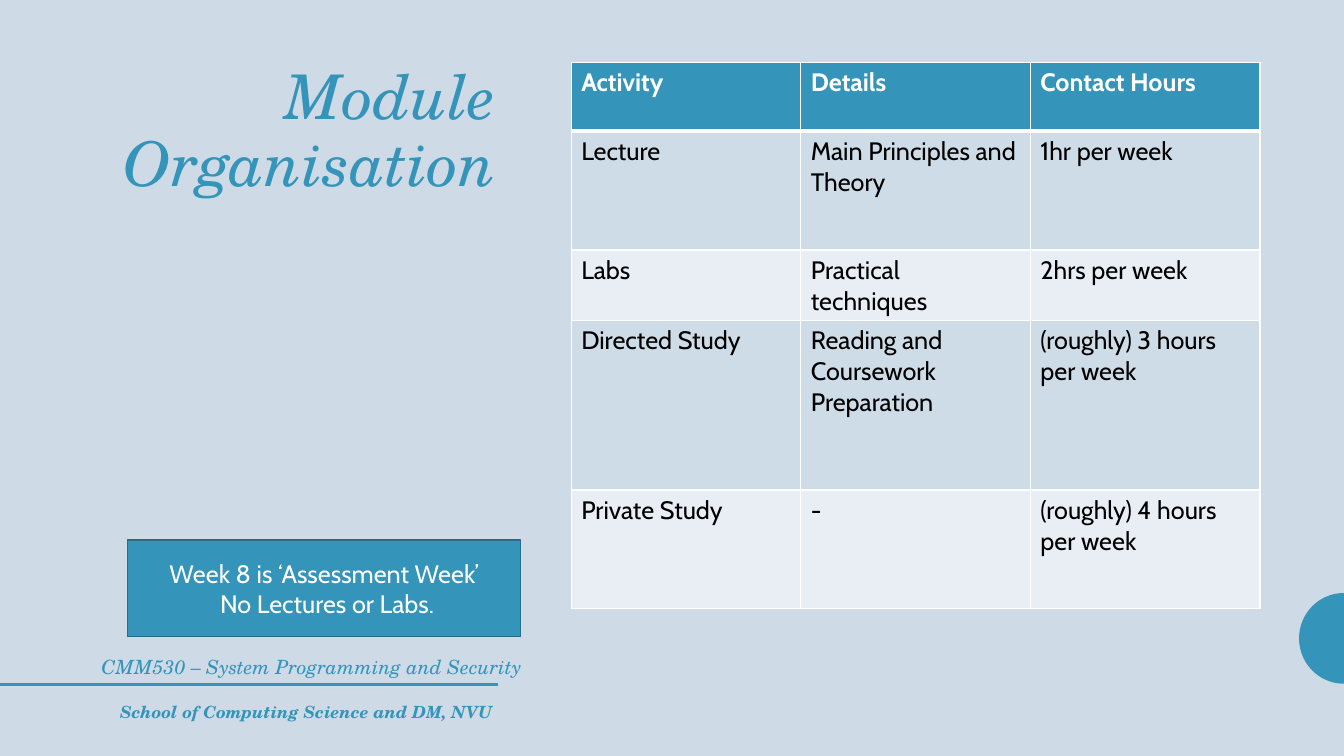
from math import cos, pi, sin

from lxml.etree import SubElement
from pptx import Presentation
from pptx.dml.color import RGBColor
from pptx.enum.shapes import MSO_CONNECTOR, MSO_SHAPE
from pptx.enum.text import MSO_ANCHOR, PP_ALIGN
from pptx.oxml.ns import qn
from pptx.util import Emu, Inches, Pt

BACKGROUND = RGBColor(0xCE, 0xDB, 0xE6)
ACCENT = RGBColor(0x34, 0x94, 0xBA)
ACCENT_DARK = RGBColor(0x26, 0x6D, 0x8A)
BAND_DARK = RGBColor(0xCE, 0xDC, 0xE7)
BAND_LIGHT = RGBColor(0xE8, 0xEE, 0xF3)
WHITE = RGBColor(0xFF, 0xFF, 0xFF)
BLACK = RGBColor(0, 0, 0)
SERIF = "TeX Gyre Schola"
SANS = "Cabin"

presentation = Presentation()
presentation.slide_width = Inches(13.3333)
presentation.slide_height = Inches(7.5)
COLUMN = presentation.slide_width / 80
ROW = presentation.slide_height / 45

ACTIVITIES = [
    ("Activity", "Details", "Contact Hours"),
    ("Lecture", "Main Principles and Theory", "1hr per week"),
    ("Labs", "Practical techniques", "2hrs per week"),
    ("Directed Study", "Reading and Coursework Preparation", "(roughly) 3 hours per week"),
    ("Private Study", "-", "(roughly) 4 hours per week"),
]
ACTIVITY_ROWS = [4.08, 7.08, 4.08, 10.08, 7.08]


def place(left, top, width, height):
    return Emu(int(left * COLUMN)), Emu(int(top * ROW)), Emu(int(width * COLUMN)), Emu(int(height * ROW))


def style(paragraph, name, size, color, bold=False, italic=False):
    font = paragraph.font
    font.name, font.size, font.bold, font.italic = name, Pt(size), bold, italic
    font.color.rgb = color


def add_serif_text(slide, box, text, size, bold=False, line_spacing=None):
    frame = slide.shapes.add_textbox(*place(*box)).text_frame
    frame.word_wrap = True
    paragraph = frame.paragraphs[0]
    paragraph.text = text
    paragraph.alignment = PP_ALIGN.RIGHT
    paragraph.line_spacing = line_spacing
    style(paragraph, SERIF, size, ACCENT, bold, True)


def add_half_disc(slide, box):
    left, top, width, height = place(*box)
    angles = [pi / 2 + pi * step / 48 for step in range(49)]
    points = [(left + width * (1 + cos(angle)), top + height * (1 - sin(angle)) / 2) for angle in angles]
    builder = slide.shapes.build_freeform(*points[0])
    builder.add_line_segments(points[1:], close=True)
    disc = builder.convert_to_shape()
    disc.shadow.inherit = False
    disc.fill.solid()
    disc.fill.fore_color.rgb = ACCENT
    disc.line.fill.background()


def add_footer(slide, box):
    left, top, width, height = box
    rule_top = top + height * 0.39
    start_x, start_y, length, _ = place(0, rule_top, left + width * 0.93, 0)
    rule = slide.shapes.add_connector(MSO_CONNECTOR.STRAIGHT, start_x, start_y, length, start_y)
    SubElement(rule._element.spPr, qn("a:effectLst"))
    rule.line.color.rgb = ACCENT
    rule.line.width = Pt(2)
    text_height = height * 0.46
    add_serif_text(slide, (left, top, width, text_height), "CMM530 – System Programming and Security", 14)
    school_box = (left + 0.09 * width, top + 0.53 * height, 0.85 * width, text_height)
    add_serif_text(slide, school_box, "School of Computing Science and DM, NVU", 12, bold=True)


def add_border(cell, side, width):
    line = SubElement(cell._tc.get_or_add_tcPr(), qn(f"a:{side}"), w=str(Pt(width)))
    fill = SubElement(line, qn("a:solidFill"))
    SubElement(fill, qn("a:srgbClr"), val=str(WHITE))


def add_activity_table(slide, box):
    table = slide.shapes.add_table(len(ACTIVITIES), len(ACTIVITIES[0]), *place(*box)).table
    for row, share in zip(table.rows, ACTIVITY_ROWS):
        row.height = Emu(int(box[3] * share / sum(ACTIVITY_ROWS) * ROW))
    for row_index, texts in enumerate(ACTIVITIES):
        header = row_index == 0
        band = ACCENT if header else BAND_DARK if row_index % 2 else BAND_LIGHT
        for column_index, text in enumerate(texts):
            cell = table.cell(row_index, column_index)
            cell.text = text
            style(cell.text_frame.paragraphs[0], SANS, 18, WHITE if header else BLACK, header)
            for side in ("lnL", "lnR", "lnT", "lnB"):
                thick = (row_index, side) in ((0, "lnB"), (1, "lnT"))
                add_border(cell, side, 3 if thick else 1)
            cell.fill.solid()
            cell.fill.fore_color.rgb = band


def add_callout(slide, box):
    callout = slide.shapes.add_shape(MSO_SHAPE.RECTANGLE, *place(*box))
    callout.shadow.inherit = False
    callout.fill.solid()
    callout.fill.fore_color.rgb = ACCENT
    callout.line.color.rgb = ACCENT_DARK
    callout.line.width = Pt(1)
    frame = callout.text_frame
    frame.word_wrap = True
    frame.vertical_anchor = MSO_ANCHOR.MIDDLE
    frame.text = "Week 8 is ‘Assessment Week’\n No Lectures or Labs."
    for paragraph in frame.paragraphs:
        paragraph.alignment = PP_ALIGN.CENTER
        style(paragraph, SANS, 18, WHITE)


def add_module_slide():
    slide = presentation.slides.add_slide(presentation.slide_layouts[6])
    slide.background.fill.solid()
    slide.background.fill.fore_color.rgb = BACKGROUND
    add_half_disc(slide, (77.33, 35.3, 2.67, 5.4))
    add_footer(slide, (2.28, 38.7, 29.4, 5.2))
    add_serif_text(slide, (5, 3.66, 25.14, 32.5), "Module Organisation", 44, line_spacing=0.9)
    add_activity_table(slide, (34, 3.72, 41, 32.4))
    add_callout(slide, (7.6, 32.15, 23.4, 5.75))


add_module_slide()
presentation.save("out.pptx")
